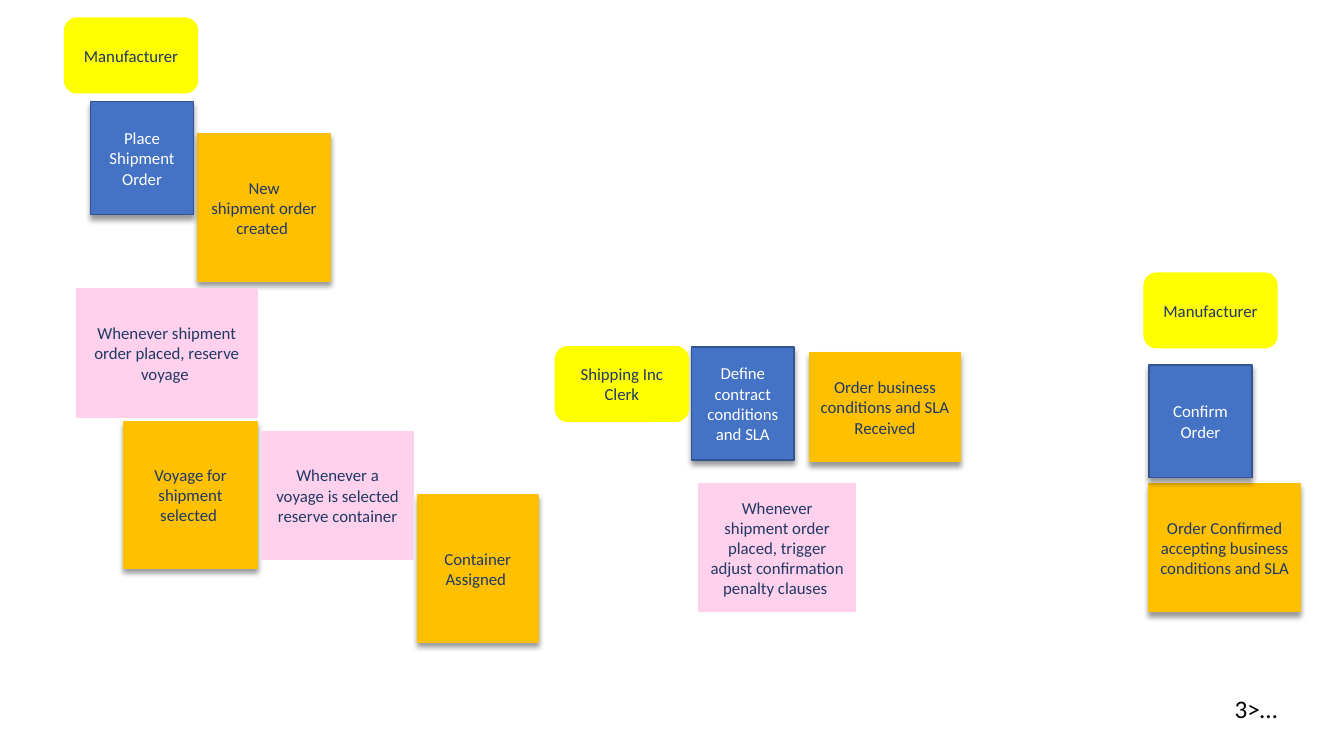
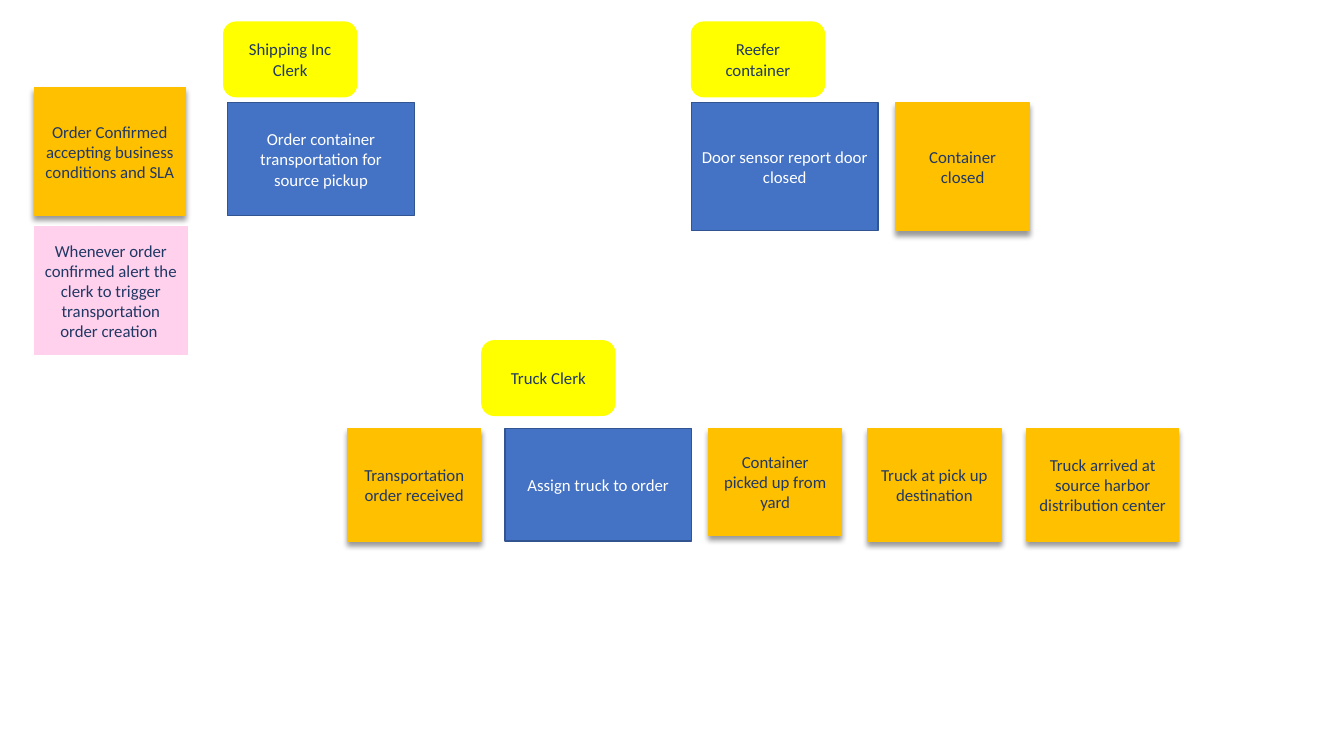
from dataclasses import dataclass

from lxml.etree import SubElement
from pptx import Presentation
from pptx.dml.color import RGBColor
from pptx.enum.shapes import MSO_SHAPE
from pptx.enum.text import MSO_ANCHOR, MSO_AUTO_SIZE, PP_ALIGN
from pptx.oxml.ns import qn
from pptx.shapes.autoshape import Shape
from pptx.slide import Slide
from pptx.text.text import TextFrame
from pptx.util import Pt

AMBER = RGBColor(0xFF, 0xC0, 0x00)
YELLOW = RGBColor(0xFF, 0xFF, 0x00)
PINK = RGBColor(0xFF, 0xD1, 0xEC)
BLUE = RGBColor(0x44, 0x72, 0xC4)
EDGE = RGBColor(0x32, 0x54, 0x91)
NAVY = RGBColor(0x20, 0x38, 0x64)
WHITE = RGBColor(0xFF, 0xFF, 0xFF)
BLACK = RGBColor(0x00, 0x00, 0x00)
FONT = "Calibri"


@dataclass(frozen=True)
class Style:
    fill: RGBColor
    line: RGBColor
    ink: RGBColor = NAVY
    form: MSO_SHAPE = MSO_SHAPE.RECTANGLE
    shadow: bool = False


@dataclass(frozen=True)
class Note:
    style: Style
    text: str
    left: float
    top: float
    width: float = 95
    height: float = 80.6


# Sticky note types
EVENT = Style(AMBER, AMBER, shadow=True)
ACTOR = Style(YELLOW, YELLOW, form=MSO_SHAPE.ROUNDED_RECTANGLE)
ORDER = Style(BLUE, EDGE, WHITE, shadow=True)
FLAT = Style(BLUE, EDGE, WHITE)
POLICY = Style(PINK, PINK)

# Common sizes
BADGE = (95, 53.3)
SMALL = (73.4, 80.6)
WIDE = (133.2, 80.6)
TALL = (95, 105.1)
BROAD = (108, 91.4)
DONE = "Order Confirmed accepting business conditions and SLA"

BOOKING = [
    Note(EVENT, "New\nshipment order created ", 141.1, 95.8, *TALL),
    Note(EVENT, "Container Assigned ", 298.1, 353.5, 86.4, 105.1),
    Note(EVENT, "Voyage for shipment\nselected ", 88.6, 301, *TALL),
    Note(EVENT, DONE, 820.8, 345.6, *BROAD),
    Note(ACTOR, "Manufacturer", 46.1, 13, *BADGE),
    Note(ORDER, "Place Shipment Order", 64.8, 72.7, *SMALL),
    Note(ORDER, "Define contract conditions and SLA", 493.9, 247.9, *SMALL),
    Note(ACTOR, "Shipping Inc Clerk", 396.7, 247.7, *BADGE),
    Note(EVENT, "Order business conditions and SLA\nReceived",
         578.2, 252, 108, 77.8),
    Note(ACTOR, "Manufacturer", 817.2, 195.1, *BADGE),
    Note(ORDER, "Confirm Order", 820.8, 260.6, *SMALL),
    Note(POLICY, "Whenever shipment order placed, trigger adjust "
         "confirmation penalty clauses ", 499, 345.6, 112.3, 91.4),
    Note(POLICY, "Whenever shipment order placed, reserve voyage ",
         54.7, 206.6, 128.9, 91.4),
    Note(POLICY, "Whenever a voyage is selected reserve container",
         187.2, 308.2, *BROAD),
]

ROW = 306
PICKUP = [
    Note(EVENT, "Container closed", 640.1, 73.4, 95, 91.4),
    Note(EVENT, "Transportation order received", 248.4, ROW),
    Note(EVENT, "Container picked up from yard", 506.2, ROW, height=76.3),
    Note(EVENT, "Truck at pick up destination", 619.9, ROW),
    Note(EVENT, "Truck arrived at source harbor distribution center",
         733.7, ROW, 108),
    Note(EVENT, DONE, 24.5, 62.6, *BROAD),
    Note(FLAT, "Order container transportation for source pickup",
         162.7, 73.4, *WIDE),
    Note(ACTOR, "Shipping Inc Clerk", 159.8, 15.8, *BADGE),
    Note(POLICY, "Whenever order confirmed alert the clerk to trigger "
         "transportation order creation ", 24.5, 162, 109.4, 91.4),
    Note(ACTOR, "Truck Clerk", 344.2, 243.4, *BADGE),
    Note(FLAT, "Assign truck to order", 360.7, ROW, *WIDE),
    Note(FLAT, "Door sensor report door closed", 493.9, 73.4, 133.2, 91.4),
    Note(ACTOR, "Reefer container", 493.9, 15.8, *BADGE),
]


def write(frame: TextFrame, text: str, *, size: float = 12,
          ink: RGBColor = NAVY, align: PP_ALIGN = PP_ALIGN.CENTER,
          wrap: bool = True) -> None:
    frame.word_wrap = wrap
    frame.text = text
    for para in frame.paragraphs:
        para.alignment = align
        for run in para.runs:
            run.font.name = FONT
            run.font.size = Pt(size)
            run.font.color.rgb = ink


def shade(shape: Shape) -> None:
    """Cast a soft shadow straight down."""
    effects = shape.element.spPr.find(qn("a:effectLst"))
    outer = SubElement(effects, qn("a:outerShdw"), blurRad=str(Pt(4)),
                       dist=str(Pt(3)), dir="5400000", rotWithShape="0")
    tint = SubElement(outer, qn("a:srgbClr"), val=str(BLACK))
    SubElement(tint, qn("a:alpha"), val="40000")


def draw(slide: Slide, note: Note) -> None:
    style = note.style
    shape = slide.shapes.add_shape(
        style.form, Pt(note.left), Pt(note.top),
        Pt(note.width), Pt(note.height))
    shape.fill.solid()
    shape.fill.fore_color.rgb = style.fill
    shape.line.color.rgb = style.line
    shape.line.width = Pt(1)
    shape.shadow.inherit = False
    if style.shadow:
        shade(shape)
    shape.text_frame.vertical_anchor = MSO_ANCHOR.MIDDLE
    write(shape.text_frame, note.text, ink=style.ink)


def main() -> None:
    deck = Presentation()
    deck.slide_width, deck.slide_height = Pt(960), Pt(540)
    for notes in (BOOKING, PICKUP):
        slide = deck.slides.add_slide(deck.slide_layouts[6])
        for note in notes:
            draw(slide, note)

    # Pointer to the next step
    box = deck.slides[0].shapes.add_textbox(
        Pt(874.8), Pt(491.8), Pt(45.4), Pt(28.8))
    write(box.text_frame, "3>…", size=18, ink=BLACK,
          align=PP_ALIGN.LEFT, wrap=False)
    box.text_frame.auto_size = MSO_AUTO_SIZE.SHAPE_TO_FIT_TEXT
    deck.save("out.pptx")


if __name__ == "__main__":
    main()
